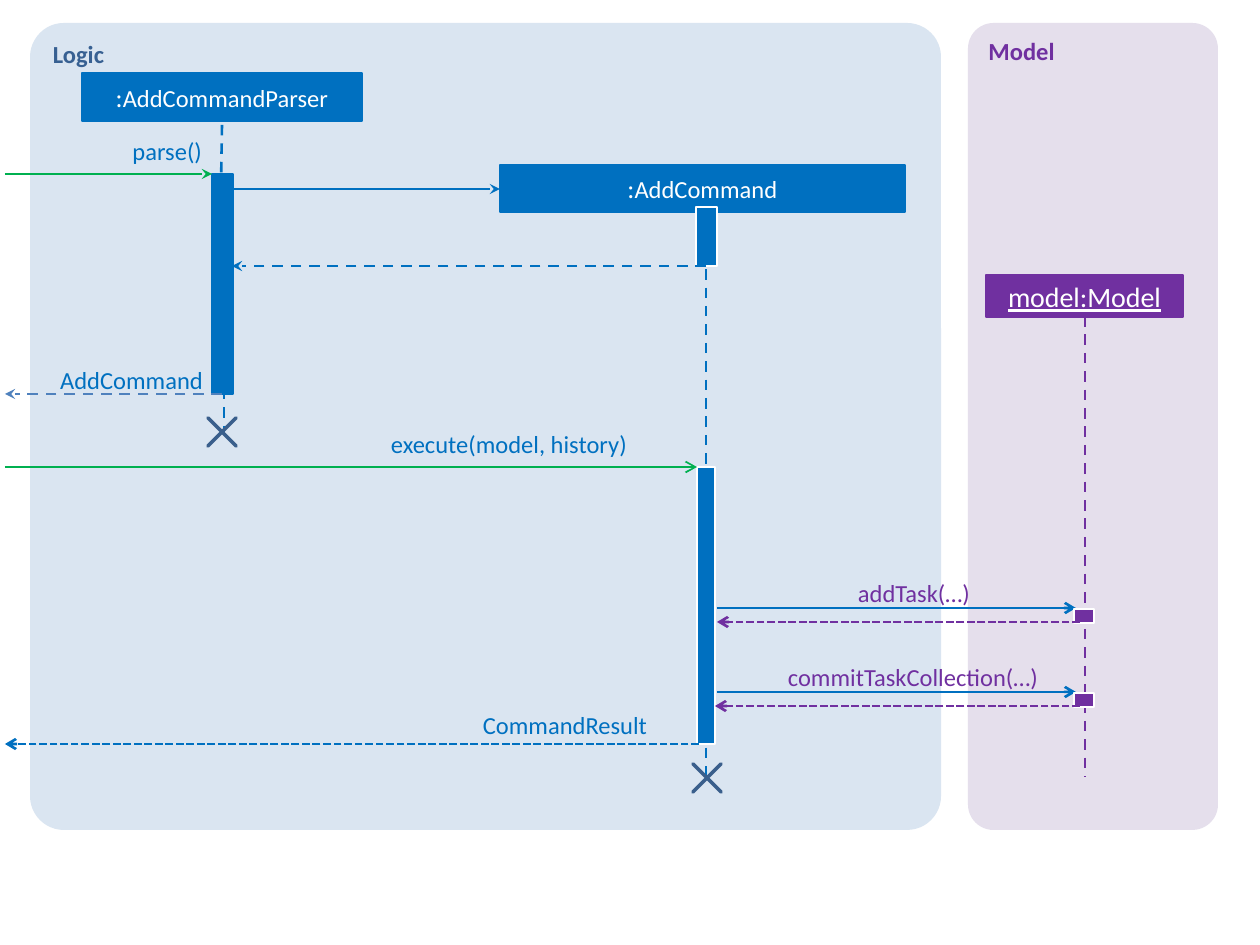
import pptx
import pptx.util
import pptx.dml.color
import pptx.enum.dml
import pptx.enum.shapes
import pptx.enum.text
import pptx.oxml

SCALE = 914400 / 126
SHAPES = pptx.enum.shapes.MSO_SHAPE
ALIGN = pptx.enum.text.PP_ALIGN
ANCHOR = pptx.enum.text.MSO_ANCHOR
DASHES = {
    "dash": pptx.enum.dml.MSO_LINE.DASH,
    "sysDash": pptx.enum.dml.MSO_LINE.SQUARE_DOT,
}
BLUE, PURPLE, GREEN, WHITE = "0070C0", "7030A0", "00B050", "FFFFFF"
STEEL, NAVY, OUTLINE = "4F81BD", "376092", "3A5F8C"
LEFT_EDGE = 5


def pixels(value):
    return pptx.util.Emu(round(value * SCALE))


def color(value):
    return pptx.dml.color.RGBColor.from_string(value)


def drawing_element(tag, attributes=""):
    namespace = "http://schemas.openxmlformats.org/drawingml/2006/main"
    return pptx.oxml.parse_xml(f'<a:{tag} xmlns:a="{namespace}" {attributes}/>')


def write_text(shape, runs, font_color=WHITE, align=ALIGN.CENTER, anchor=ANCHOR.MIDDLE,
               bold=False, underline=False, insets=(13, 6)):
    frame = shape.text_frame
    frame.word_wrap = True
    frame.vertical_anchor = anchor
    frame.margin_left = frame.margin_right = pixels(insets[0])
    frame.margin_top = frame.margin_bottom = pixels(insets[1])
    paragraph = frame.paragraphs[0]
    paragraph.alignment = align
    for text, size in runs:
        run = paragraph.add_run()
        run.text = text
        run.font.name = "Calibri"
        run.font.size = pptx.util.Pt(size)
        run.font.color.rgb = color(font_color)
        run.font.bold = bold
        run.font.underline = underline


def add_box(slide, box, fill, line=None, width=0.75, kind=SHAPES.RECTANGLE, adjustment=None):
    shape = slide.shapes.add_shape(kind, *map(pixels, box))
    shape.shadow.inherit = False
    shape.fill.solid()
    shape.fill.fore_color.rgb = color(fill)
    if line:
        shape.line.color.rgb = color(line)
        shape.line.width = pptx.util.Pt(width)
    else:
        shape.line.fill.background()
    if adjustment is not None:
        shape.adjustments[0] = adjustment
    return shape


def add_panel(slide, box, fill, title, title_color, radius):
    panel = add_box(slide, box, fill, kind=SHAPES.ROUNDED_RECTANGLE, adjustment=radius)
    write_text(panel, [(title, 14)], title_color, ALIGN.LEFT, ANCHOR.TOP, bold=True)


def add_participant(slide, box, fill, runs, underline=False):
    write_text(add_box(slide, box, fill, fill, 1.5), runs, underline=underline)


def add_label(slide, box, text, font_color, align=ALIGN.CENTER):
    label = slide.shapes.add_textbox(*map(pixels, box))
    write_text(label, [(text, 14)], font_color, align, ANCHOR.TOP, insets=(0, 0))


def add_line(slide, start, end, line_color, width=1.5, dash=None, arrow=None):
    line = slide.shapes.add_connector(
        pptx.enum.shapes.MSO_CONNECTOR.STRAIGHT, *map(pixels, start + end))
    line.line.color.rgb = color(line_color)
    line.line.width = pptx.util.Pt(width)
    if dash:
        line.line.dash_style = DASHES[dash]
    if arrow:
        line.line._get_or_add_ln().append(drawing_element("tailEnd", f'type="{arrow}"'))
    line._element.spPr.append(drawing_element("effectLst"))


def add_message(slide, start, end, y, line_color, **style):
    add_line(slide, (start, y), (end, y), line_color, **style)


def add_end_mark(slide, x, y):
    add_box(slide, (x - 27, y - 27, 54, 54), STEEL, OUTLINE, 2, SHAPES.MATH_MULTIPLY, 0)


def add_model_call(slide, y, label_box, text, return_end):
    add_label(slide, label_box, text, PURPLE)
    add_message(slide, 717, 1076, y, BLUE, arrow="arrow")
    add_box(slide, (1074, y + 1, 20, 14), PURPLE, WHITE)
    add_message(slide, 1080, return_end, y + 14, PURPLE, dash="sysDash", arrow="arrow")


def main():
    presentation = pptx.Presentation()
    presentation.slide_width = pixels(1260)
    presentation.slide_height = pixels(945)
    slide = presentation.slides.add_slide(presentation.slide_layouts[6])

    add_panel(slide, (30, 23, 911, 807), "DAE5F1", "Logic", NAVY, 0.042)
    add_panel(slide, (968, 23, 250, 807), "E5DFEC", "Model", PURPLE, 0.102)

    for start, end, line_color in [
        ((222, 125), (218, 379), BLUE),
        ((224, 389), (224, 432), BLUE),
        ((706, 214), (706, 777), BLUE),
        ((1085, 316), (1085, 777), PURPLE),
    ]:
        add_line(slide, start, end, line_color, dash="dash")

    add_participant(slide, (82, 73, 280, 48), BLUE, [(":", 15), ("AddCommandParser", 14)])
    add_participant(slide, (500, 165, 405, 47), BLUE, [(":", 15), ("AddCommand", 14)])
    add_participant(slide, (986, 275, 197, 42), PURPLE, [("model:Model", 16)], underline=True)

    for box, outline in [
        ((212, 174, 21, 220), BLUE),
        ((696, 207, 21, 59), WHITE),
        ((697, 467, 18, 277), WHITE),
    ]:
        add_box(slide, box, BLUE, outline)

    add_message(slide, LEFT_EDGE, 212, 174, GREEN, arrow="stealth")
    add_message(slide, 233, 500, 189, BLUE, arrow="stealth")
    add_message(slide, 706, 232, 266, BLUE, dash="dash", arrow="stealth")
    add_message(slide, 222, LEFT_EDGE, 394, STEEL, dash="dash", arrow="stealth")
    add_message(slide, LEFT_EDGE, 697, 467, GREEN, width=1, arrow="arrow")
    add_message(slide, 699, LEFT_EDGE, 744, BLUE, dash="sysDash", arrow="arrow")

    add_label(slide, (5, 136, 197, 30), "parse()", BLUE, ALIGN.RIGHT)
    add_label(slide, (55, 365, 148, 30), "AddCommand", BLUE, ALIGN.RIGHT)
    add_label(slide, (330, 429, 358, 30), "execute(model, history)", BLUE)
    add_label(slide, (386, 710, 358, 30), "CommandResult", BLUE)

    add_model_call(slide, 608, (746, 578, 336, 30), "addTask(…)", 717)
    add_model_call(slide, 692, (745, 662, 336, 30), "commitTaskCollection(…)", 715)

    add_end_mark(slide, 222, 432)
    add_end_mark(slide, 707, 778)
    presentation.save("out.pptx")


main()
